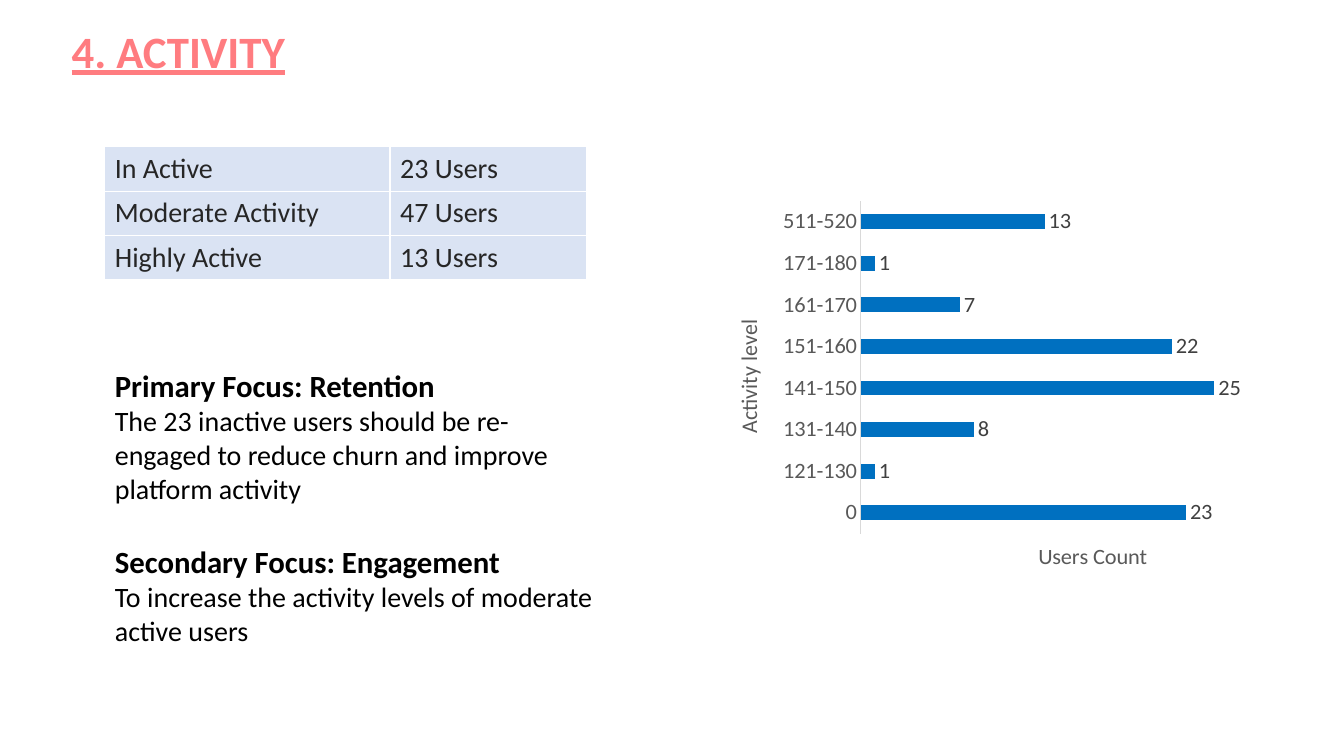
from pptx import Presentation
from pptx.chart.data import CategoryChartData
from pptx.dml.color import RGBColor
from pptx.enum.chart import XL_CHART_TYPE as ChartType
from pptx.enum.chart import XL_LABEL_POSITION as LabelPos
from pptx.enum.chart import XL_TICK_MARK as TickMark
from pptx.enum.text import MSO_ANCHOR, MSO_AUTO_SIZE as AutoSize, PP_ALIGN
from pptx.oxml import parse_xml
from pptx.oxml.ns import nsdecls, qn
from pptx.util import Cm, Pt

CORAL = RGBColor(0xFF, 0x7C, 0x80)
BLACK = RGBColor(0, 0, 0)
INK = RGBColor(0x26, 0x26, 0x26)
LABEL_GREY = RGBColor(0x40, 0x40, 0x40)
AXIS_GREY = RGBColor(0x59, 0x59, 0x59)
LINE_GREY = RGBColor(0xD9, 0xD9, 0xD9)
BAR_BLUE = RGBColor(0x00, 0x70, 0xC0)
CELL_BLUE = RGBColor(0xDA, 0xE3, 0xF3)

ACTIVITY = [("In Active", "23 Users"),
            ("Moderate Activity", "47 Users"),
            ("Highly Active", "13 Users")]
FOCUS = [("Primary Focus: Retention",
          "The 23 inactive users should be re-engaged to reduce churn "
          "and improve platform activity"),
         ("Secondary Focus: Engagement",
          "To increase the activity levels of moderate active users")]
USERS = {"0": 23, "121-130": 1, "131-140": 8, "141-150": 25,
         "151-160": 22, "161-170": 7, "171-180": 1, "511-520": 13}


def set_font(font, size, color, **format_values):
    values = {"name": "Calibri", "size": Pt(size), "bold": False}
    values.update(format_values)
    for name, value in values.items():
        setattr(font, name, value)
    font.color.rgb = color


def place(sp, left, top, width, height, anchor):
    """Move a placeholder (lengths in cm) and return its text frame."""
    sp.left, sp.top, sp.width, sp.height = map(Cm, (left, top, width, height))
    tf = sp.text_frame
    tf.word_wrap = True
    tf.auto_size = AutoSize.NONE
    tf.vertical_anchor = anchor
    return tf


def add_title(s, text):
    tf = place(s.shapes.title, 1.55, 0.46, 28.5, 1.63, MSO_ANCHOR.TOP)
    p = tf.paragraphs[0]
    p.alignment = PP_ALIGN.LEFT
    r = p.add_run()
    r.text = text
    set_font(r.font, 32, CORAL, bold=True, underline=True)


def add_plain_paragraph(p, text, size, bold, gap):
    """Fill a list paragraph without bullet or indent."""
    p.space_before, p.space_after = Pt(gap), Pt(0)
    pPr = p._p.get_or_add_pPr()
    pPr.set("marL", "0")
    pPr.set("indent", "0")
    pPr.append(parse_xml(f"<a:buNone {nsdecls('a')}/>"))
    r = p.add_run()
    r.text = text
    set_font(r.font, size, BLACK, bold=bold)


def add_focus_list(s, items):
    tf = place(s.placeholders[1], 2.64, 9.12, 12.75, 7.34, MSO_ANCHOR.TOP)
    for i, (heading, advice) in enumerate(items):
        p = tf.add_paragraph() if i else tf.paragraphs[0]
        add_plain_paragraph(p, heading, 22, True, 27 if i else 0)
        add_plain_paragraph(tf.add_paragraph(), advice, 20, False, 0)


def add_activity_table(s, rows):
    widths = (7.19, 4.95)
    row_height = 1.1
    table = s.shapes.add_table(len(rows), len(widths), Cm(2.64), Cm(3.7),
                               Cm(sum(widths)), Cm(row_height * len(rows))).table
    table.first_row = table.horz_banding = False
    for column, width in zip(table.columns, widths):
        column.width = Cm(width)
    for i, texts in enumerate(rows):
        table.rows[i].height = Cm(row_height)
        for j, text in enumerate(texts):
            cell = table.cell(i, j)
            cell.fill.solid()
            cell.fill.fore_color.rgb = CELL_BLUE
            cell.text = text
            set_font(cell.text_frame.paragraphs[0].runs[0].font, 20, INK)


def set_layout(element, index, target="", **fractions):
    """Give a chart part a manual layout in fractions of the chart."""
    for old in element.findall(qn("c:layout")):
        element.remove(old)
    if target:
        target = f'<c:layoutTarget val="{target}"/>'
    modes = "".join(f'<c:{k}Mode val="edge"/>' for k in "xy")
    sizes = "".join(f'<c:{k} val="{v}"/>' for k, v in fractions.items())
    element.insert(index, parse_xml(
        f"<c:layout {nsdecls('c')}><c:manualLayout>{target}{modes}{sizes}"
        "</c:manualLayout></c:layout>"))


def add_axis_title(axis, text, rotation, x, y):
    title = axis.axis_title
    p = title.text_frame.paragraphs[0]
    r = p.add_run()
    r.text = text
    set_font(r.font, 16, AXIS_GREY)
    body = title._element.find(".//" + qn("a:bodyPr"))
    body.set("rot", str(rotation * 60000))
    body.set("vert", "horz")
    set_layout(title._element, 1, x=x, y=y)


def add_users_chart(s, users):
    data = CategoryChartData()
    data.categories = list(users)
    data.add_series("Series 1", list(users.values()))
    chart = s.shapes.add_chart(ChartType.BAR_CLUSTERED, Cm(17.78), Cm(4.47),
                               Cm(15.06), Cm(10.08), data).chart
    chart.has_title = chart.has_legend = False
    set_font(chart.font, 16, BLACK)

    plot = chart.plots[0]
    plot.gap_width = 182
    plot.vary_by_categories = False
    fill = plot.series[0].format.fill
    fill.solid()
    fill.fore_color.rgb = BAR_BLUE
    plot.has_data_labels = True
    labels = plot.data_labels
    labels.show_value = True
    labels.position = LabelPos.OUTSIDE_END
    set_font(labels.font, 16, LABEL_GREY)

    levels, counts = chart.category_axis, chart.value_axis
    levels.major_tick_mark = levels.minor_tick_mark = TickMark.NONE
    levels.format.line.color.rgb = LINE_GREY
    levels.format.line.width = Pt(0.75)
    set_font(levels.tick_labels.font, 16, AXIS_GREY)
    counts.has_major_gridlines = False
    counts.minimum_scale, counts.maximum_scale = 0, 30
    counts.visible = False
    add_axis_title(levels, "Activity level", -90, 0.04, 0.36)
    add_axis_title(counts, "Users Count", 0, 0.55, 0.92)
    plot_area = chart._chartSpace.find(".//" + qn("c:plotArea"))
    set_layout(plot_area, 0, "inner", x=0.26, y=0.06, w=0.71, h=0.85)


def main():
    prs = Presentation()
    prs.slide_width, prs.slide_height = Cm(33.87), Cm(19.05)
    s = prs.slides.add_slide(prs.slide_layouts[1])
    add_users_chart(s, USERS)
    add_title(s, "4. ACTIVITY")
    add_focus_list(s, FOCUS)
    add_activity_table(s, ACTIVITY)
    prs.save("out.pptx")


if __name__ == "__main__":
    main()
